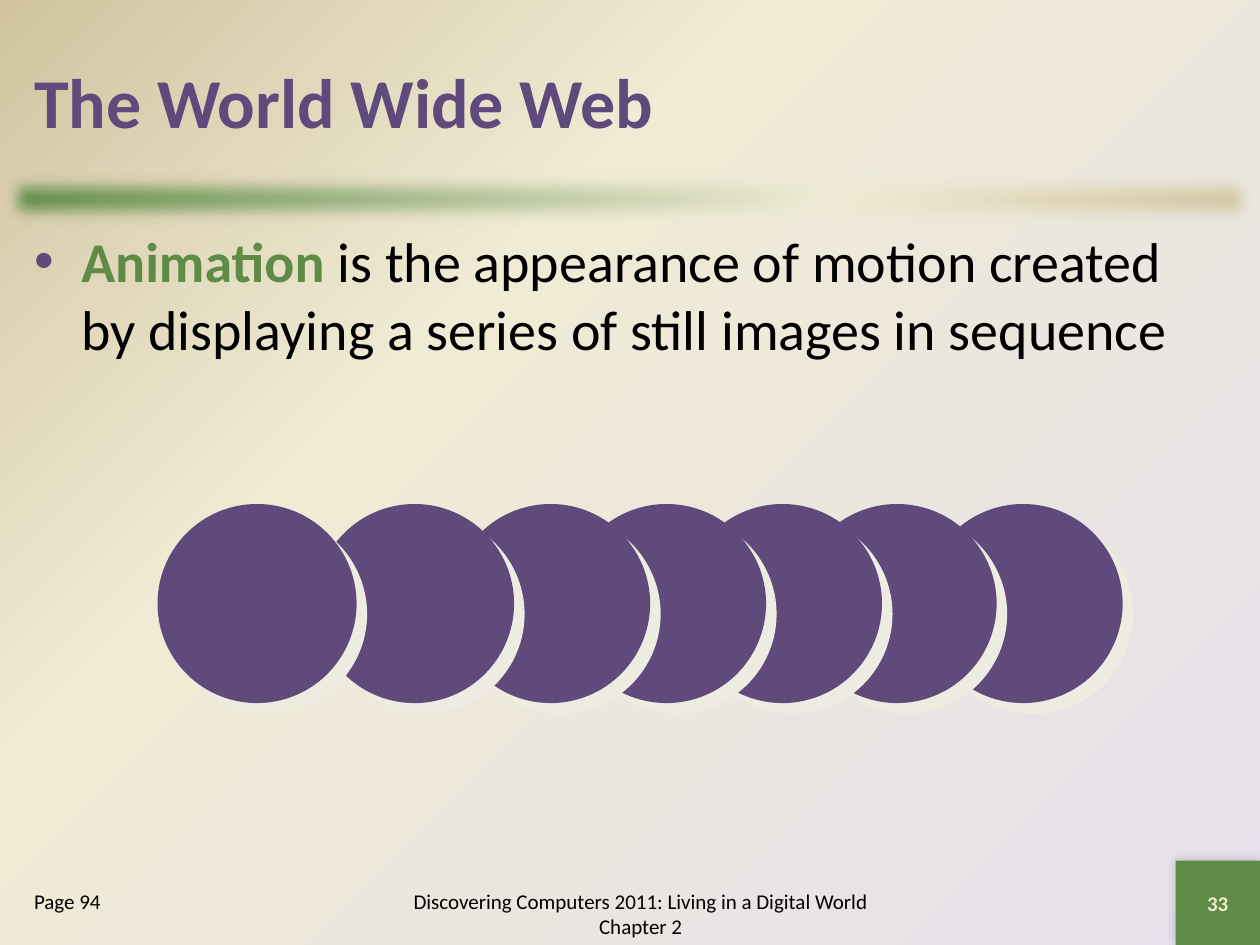
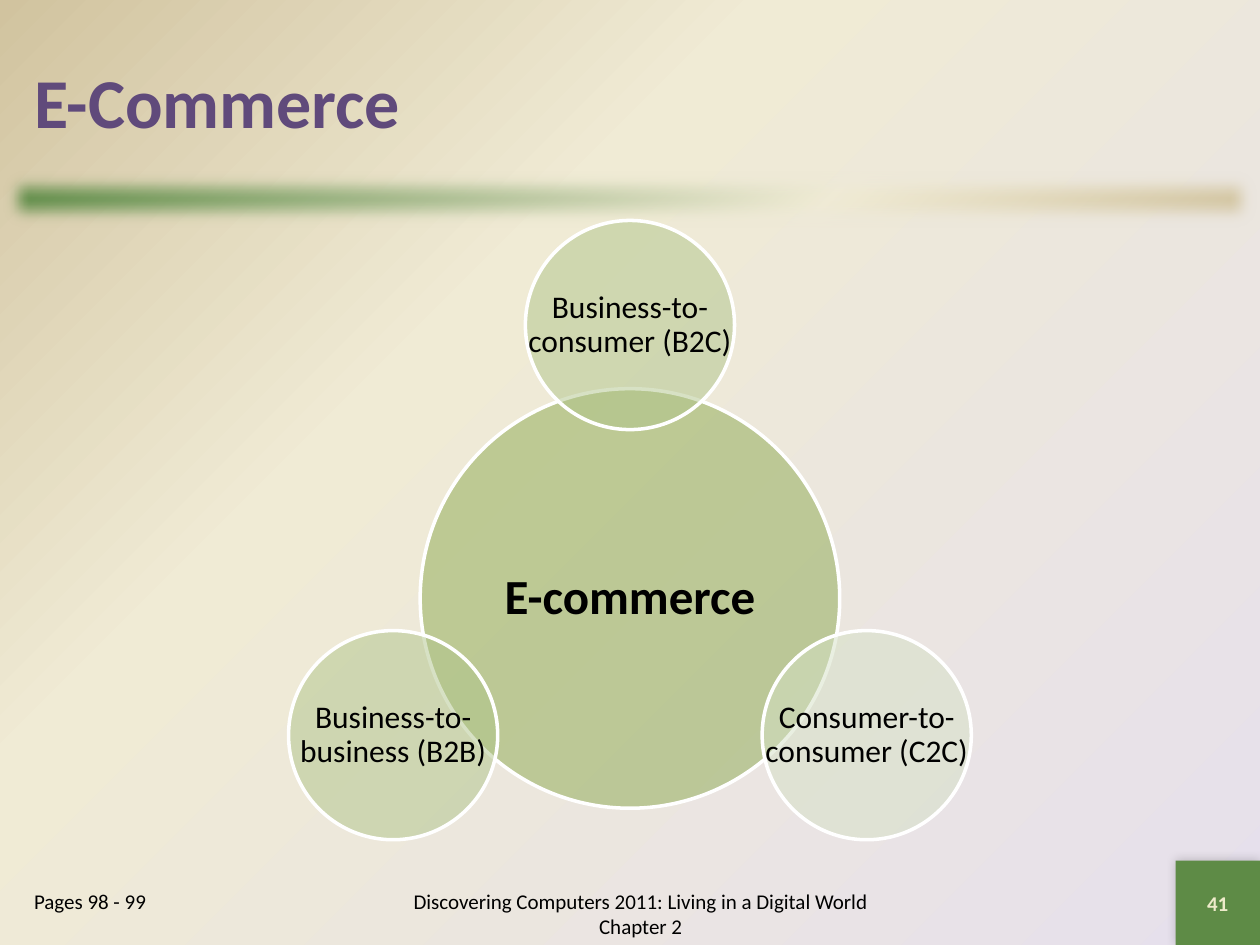
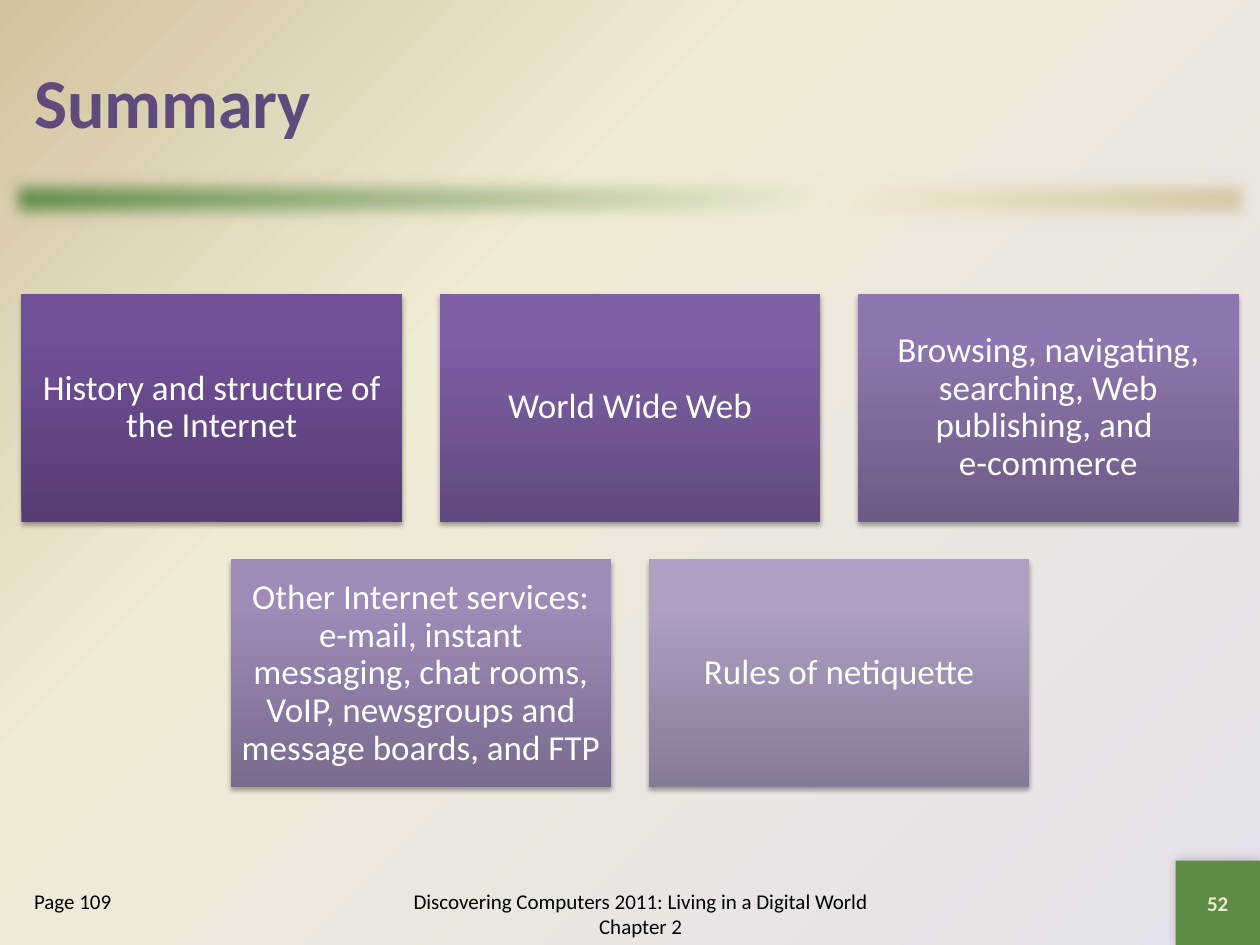
"""Builds three chapter slides: animation, e-commerce and summary."""
from math import cos, radians, sin

from pptx import Presentation
from pptx.dml.color import RGBColor
from pptx.enum.shapes import MSO_SHAPE
from pptx.enum.text import MSO_ANCHOR, PP_ALIGN
from pptx.oxml import parse_xml
from pptx.oxml.ns import nsdecls, qn
from pptx.util import Inches, Pt

RECT, OVAL = MSO_SHAPE.RECTANGLE, MSO_SHAPE.OVAL
LEFT, CENTER = PP_ALIGN.LEFT, PP_ALIGN.CENTER
MIDDLE = MSO_ANCHOR.MIDDLE
rgb = RGBColor.from_string

PURPLE, GREEN, CREAM, TAN = "604A7B", "5E8B46", "F0EBD5", "D1C39F"
LILAC, BLACK, WHITE, PALE = "E6E0EC", "000000", "FFFFFF", "EEEBCA"
FONT = "Calibri"
FOOTER = "Discovering Computers 2011: Living in a Digital World Chapter 2"
NUMBER_BOX = (9.33, 6.83, 0.67, 0.67)

NS = nsdecls("a")
GRADIENT = (
    f'<a:gradFill {NS} rotWithShape="1"><a:gsLst>'
    '<a:gs pos="0"><a:srgbClr val="{0}"/></a:gs>'
    '<a:gs pos="{1}000"><a:srgbClr val="{2}"/></a:gs>'
    '<a:gs pos="100000"><a:srgbClr val="{3}"/></a:gs>'
    '</a:gsLst>{4}</a:gradFill>'
)
LINEAR = '<a:lin ang="{}" scaled="0"/>'
CORNER = (
    '<a:path path="circle"><a:fillToRect l="100000" t="100000"/></a:path>'
    '<a:tileRect r="-100000" b="-100000"/>'
)
SHADOW = (
    f'<a:outerShdw {NS} blurRad="{{1}}" dist="{{2}}" dir="{{3}}" algn="ctr" '
    'rotWithShape="0"><a:srgbClr val="{0}"><a:alpha val="{4}000"/></a:srgbClr></a:outerShdw>'
)
SOFT_EDGE = f'<a:softEdge {NS} rad="127000"/>'


def draw(s, kind, box, fill, effect=None):
    """Add a borderless shape filled with a hex colour or gradient markup."""
    sp = s.shapes.add_shape(kind, *map(Inches, box))
    sp.line.fill.background()
    sp.shadow.inherit = False
    sp.fill.solid()
    if fill.startswith("<"):
        solid = sp.element.spPr.find(qn("a:solidFill"))
        sp.element.spPr.replace(solid, parse_xml(fill))
    else:
        sp.fill.fore_color.rgb = rgb(fill)
    if effect:
        sp.element.spPr.find(qn("a:effectLst")).append(parse_xml(effect))
    return sp


def write(sp, text, size, color, bold=False, align=CENTER, inset=None):
    """Set and format the single paragraph of a shape."""
    tf = sp.text_frame
    tf.text = text
    tf.word_wrap = True
    p = tf.paragraphs[0]
    p.alignment = align
    p.space_before = Pt(0)
    if align == CENTER:
        tf.vertical_anchor = MIDDLE
    if inset is not None:
        tf.margin_left = tf.margin_right = tf.margin_top = tf.margin_bottom = Inches(inset)
        p.line_spacing = 0.9
    for r in p.runs:
        r.font.name, r.font.size, r.font.bold = FONT, Pt(size), bold
        r.font.color.rgb = rgb(color)
    return p


prs = Presentation()
prs.slide_width, prs.slide_height = Inches(10), Inches(7.5)
master = prs.slide_master
master.background.fill.solid()
solid = master.element.cSld.find(".//" + qn("a:solidFill"))
solid.getparent().replace(solid, parse_xml(GRADIENT.format(LILAC, 65, CREAM, TAN, CORNER)))

slides = []
for title, page, number, layout in (
    ("The World Wide Web", "Page 94", "33", 3),
    ("E-Commerce", "Pages 98 - 99", "41", 1),
    ("Summary", "Page 109", "52", 1),
):
    s = prs.slides.add_slide(prs.slide_layouts[layout])
    slides.append(s)
    label = list(s.placeholders)[-1]
    for sp, box in ((s.shapes.title, (0.17, 0.17, 9.67, 1.25)), (label, (0.17, 7, 1.83, 0.5))):
        sp.left, sp.top, sp.width, sp.height = map(Inches, box)
    write(s.shapes.title, title, 40, PURPLE, True, LEFT)
    s.shapes.title.text_frame.vertical_anchor = MIDDLE
    p = write(label, page, 12, BLACK, align=LEFT)
    p._p.get_or_add_pPr().append(parse_xml(f"<a:buNone {NS}/>"))
    footer = s.shapes.add_textbox(Inches(3), Inches(7), Inches(4.17), Inches(0.5))
    write(footer, FOOTER, 12, BLACK)
    write(s.shapes.add_textbox(*map(Inches, NUMBER_BOX)), number, 12, PALE, True)

web, commerce, summary = slides

band = draw(web, RECT, (0, 1.33, 10, 0.5),
            GRADIENT.format(GREEN, 65, CREAM, TAN, LINEAR.format(2700000)), SOFT_EDGE)
corner = draw(web, RECT, NUMBER_BOX, GREEN,
              SHADOW.format(BLACK, Pt(6), 0, 225 * 60000, 20))
for i, sp in enumerate((band, corner)):
    sp.element.nvSpPr.cNvPr.set("id", str(20 + i))
    master.shapes.element.insert(2 + i, sp.element)

body = web.placeholders[1]
body.left, body.top, body.width, body.height = map(Inches, (0.17, 1.75, 9.67, 5.08))
p = write(body, "Animation", 32, GREEN, True, LEFT)
pPr = p._p.get_or_add_pPr()
pPr.append(parse_xml(f'<a:buClr {NS}><a:srgbClr val="{PURPLE}"/></a:buClr>'))
pPr.append(parse_xml(f'<a:buChar {NS} char="•"/>'))
r = p.add_run()
r.text = " is the appearance of motion created by displaying a series of still images in sequence"
r.font.name, r.font.size, r.font.bold = FONT, Pt(32), False
r.font.color.rgb = rgb(BLACK)

for left in (7.33, 6.33, 5.42, 4.5, 3.58, 2.5, 1.25):
    draw(web, OVAL, (left, 4, 1.58, 1.58), PURPLE,
         SHADOW.format("EEECE1", 0, Pt(8.5), 45 * 60000, 100))

for text, size, bold, diameter, orbit, angle, color in (
    ("E-commerce", 28, True, 3.33, 0, 0, "8DAA51"),
    ("Business-to-consumer (B2C)", 18, False, 1.66, 2.17, -90, "B0C58B"),
    ("Consumer-to-consumer (C2C)", 18, False, 1.66, 2.17, 30, "D5E1C5"),
    ("Business-to-business (B2B)", 18, False, 1.66, 2.17, 150, "B0C58B"),
):
    left = 5 + orbit * cos(radians(angle)) - diameter / 2
    top = 4.75 + orbit * sin(radians(angle)) - diameter / 2
    box = (left, top, diameter, diameter)
    sp = draw(commerce, OVAL, box, color)
    clr = sp.element.spPr.find(qn("a:solidFill")).find(qn("a:srgbClr"))
    clr.append(parse_xml(f'<a:alpha {NS} val="50000"/>'))
    sp.line.color.rgb = rgb(WHITE)
    sp.line.width = Pt(2)
    write(commerce.shapes.add_textbox(*map(Inches, box)), text, size, BLACK, bold, inset=0.02)

topics = (
    ("History and structure of the Internet", "563D74", "705097", "704F99"),
    ("World Wide Web", "614A7F", "7E60A5", "7F60A7"),
    ("Browsing, navigating, searching, Web publishing, and \ve-commerce",
     "6D5B86", "8E76AE", "8E75B0"),
    ("Other Internet services: e-mail, instant messaging, chat rooms, VoIP, "
     "newsgroups and message boards, and FTP", "796B8E", "9E8BB8", "9E8BBA"),
    ("Rules of netiquette", "867B96", "AE9FC3", "AE9FC4"),
)
for i, (text, low, middle, high) in enumerate(topics):
    row, col = divmod(i, 3)
    box = (0.17 + 3.32 * col + 1.66 * row, 2.33 + 2.11 * row, 3.02, 1.81)
    sp = draw(summary, RECT, box,
              GRADIENT.format(low, 80, middle, high, LINEAR.format(270 * 60000)),
              SHADOW.format(BLACK, Pt(3.1), Pt(1.8), 90 * 60000, 35))
    write(sp, text, 20, WHITE, inset=0.08)

prs.save("out.pptx")
